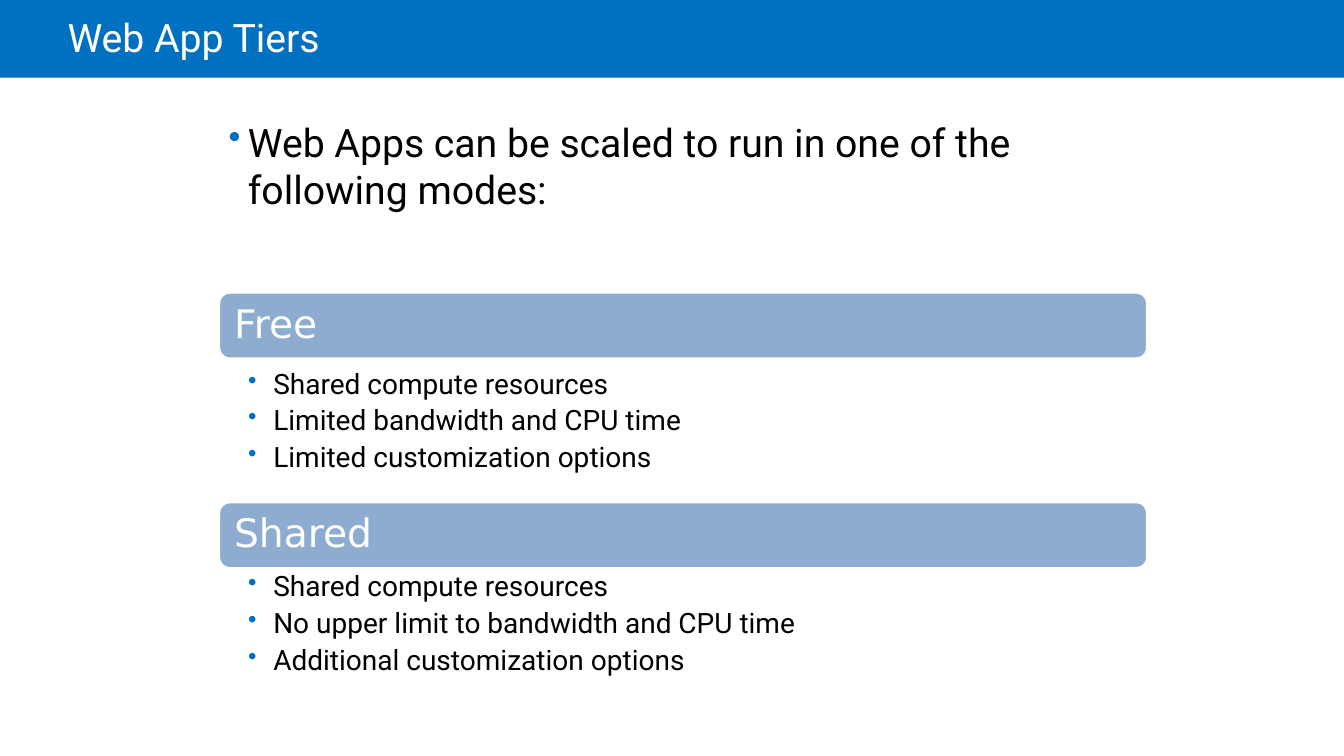
import pptx
import pptx.dml.color
import pptx.enum.shapes
import pptx.enum.text
import pptx.oxml.ns
import lxml.etree
from dataclasses import dataclass
from pptx.util import Inches, Pt


@dataclass(frozen=True)
class Theme:
    blue: str = "0070C0"
    bar: str = "8DACD0"
    white: str = "FFFFFF"
    black: str = "000000"
    body: str = "Roboto"
    head: str = "DejaVu Sans"
    large: int = 28
    small: int = 20


THEME = Theme()

# Each tier: name, bar top, list top, list height, points
TIERS = [
    ("Free", 2.9, 3.64, 1.42, [
        "Shared compute resources",
        "Limited bandwidth and CPU time",
        "Limited customization options"]),
    ("Shared", 4.98, 5.65, 1.09, [
        "Shared compute resources",
        "No upper limit to bandwidth and CPU time",
        "Additional customization options"]),
]
LEFT, WIDTH = 2.17, 9.21


def color(code):
    return pptx.dml.color.RGBColor.from_string(code)


def add_run(para, text, size, code, font=THEME.body):
    run = para.add_run()
    run.text = text
    run.font.size = Pt(size)
    run.font.name = font
    run.font.color.rgb = color(code)


def add_bullet(para, indent):
    props = para._p.get_or_add_pPr()
    props.set("marL", str(Inches(indent)))
    props.set("indent", str(-Inches(indent)))

    def add(parent, tag, **attrs):
        name = pptx.oxml.ns.qn(tag)
        return lxml.etree.SubElement(parent, name, **attrs)

    add(add(props, "a:buClr"), "a:srgbClr", val=THEME.blue)
    add(props, "a:buSzPct", val="90000")
    add(props, "a:buChar", char="•")


def set_frame(frame, insets, middle=False):
    anchor = pptx.enum.text.MSO_ANCHOR
    frame.word_wrap = True
    frame.vertical_anchor = anchor.MIDDLE if middle else anchor.TOP
    (frame.margin_left, frame.margin_top,
     frame.margin_right, frame.margin_bottom) = map(Inches, insets)
    return frame


def add_text(slide, box, insets=(0.1, 0.05, 0.1, 0.05), middle=False):
    shape = slide.shapes.add_textbox(*map(Inches, box))
    return set_frame(shape.text_frame, insets, middle)


def add_box(slide, kind, box, fill):
    shape = slide.shapes.add_shape(kind, *map(Inches, box))
    shape.shadow.inherit = False
    shape.fill.solid()
    shape.fill.fore_color.rgb = color(fill)
    shape.line.fill.background()
    return shape


def add_title(slide, text):
    kind = pptx.enum.shapes.MSO_SHAPE.RECTANGLE
    add_box(slide, kind, (0, 0, 13.33, 0.77), THEME.blue)
    frame = add_text(slide, (0.67, 0, 11.34, 0.81), (0, 0.05, 0.1, 0.05), True)
    para = frame.paragraphs[0]
    para.line_spacing = 0.85
    add_run(para, text, THEME.large, THEME.white)


def add_intro(slide, text):
    para = add_text(slide, (LEFT, 1.12, 8.88, 1.5)).paragraphs[0]
    add_bullet(para, 0.19)
    add_run(para, text, THEME.large, THEME.black)


def add_bar(slide, name, top):
    kind = pptx.enum.shapes.MSO_SHAPE.ROUNDED_RECTANGLE
    bar = add_box(slide, kind, (LEFT, top, WIDTH, 0.66), THEME.bar)
    bar.line.color.rgb = color(THEME.white)
    bar.line.width = Pt(2)
    frame = set_frame(bar.text_frame, (0.12, 0.12, 0.12, 0.12), True)
    para = frame.paragraphs[0]
    para.alignment = pptx.enum.text.PP_ALIGN.LEFT
    para.line_spacing = 0.9
    add_run(para, name, THEME.large, THEME.white, THEME.head)


def add_list(slide, top, height, points):
    box = (LEFT, top, WIDTH, height)
    frame = add_text(slide, box, (0.29, 0.03, 0.16, 0.03))
    for i, point in enumerate(points):
        para = frame.add_paragraph() if i else frame.paragraphs[0]
        add_bullet(para, 0.25)
        para.level = 1
        para.line_spacing = 0.9
        para.space_after = Pt(4.6)
        add_run(para, point, THEME.small, THEME.black)


def main():
    deck = pptx.Presentation()
    deck.slide_width, deck.slide_height = Inches(13.33), Inches(7.5)
    slide = deck.slides.add_slide(deck.slide_layouts[6])

    # Header and lead line
    add_title(slide, "Web App Tiers")
    add_intro(slide, "Web Apps can be scaled to run in one of the following modes:")

    # Tiers with their points
    for name, top, below, height, points in TIERS:
        add_bar(slide, name, top)
        add_list(slide, below, height, points)

    deck.save("out.pptx")


if __name__ == "__main__":
    main()
